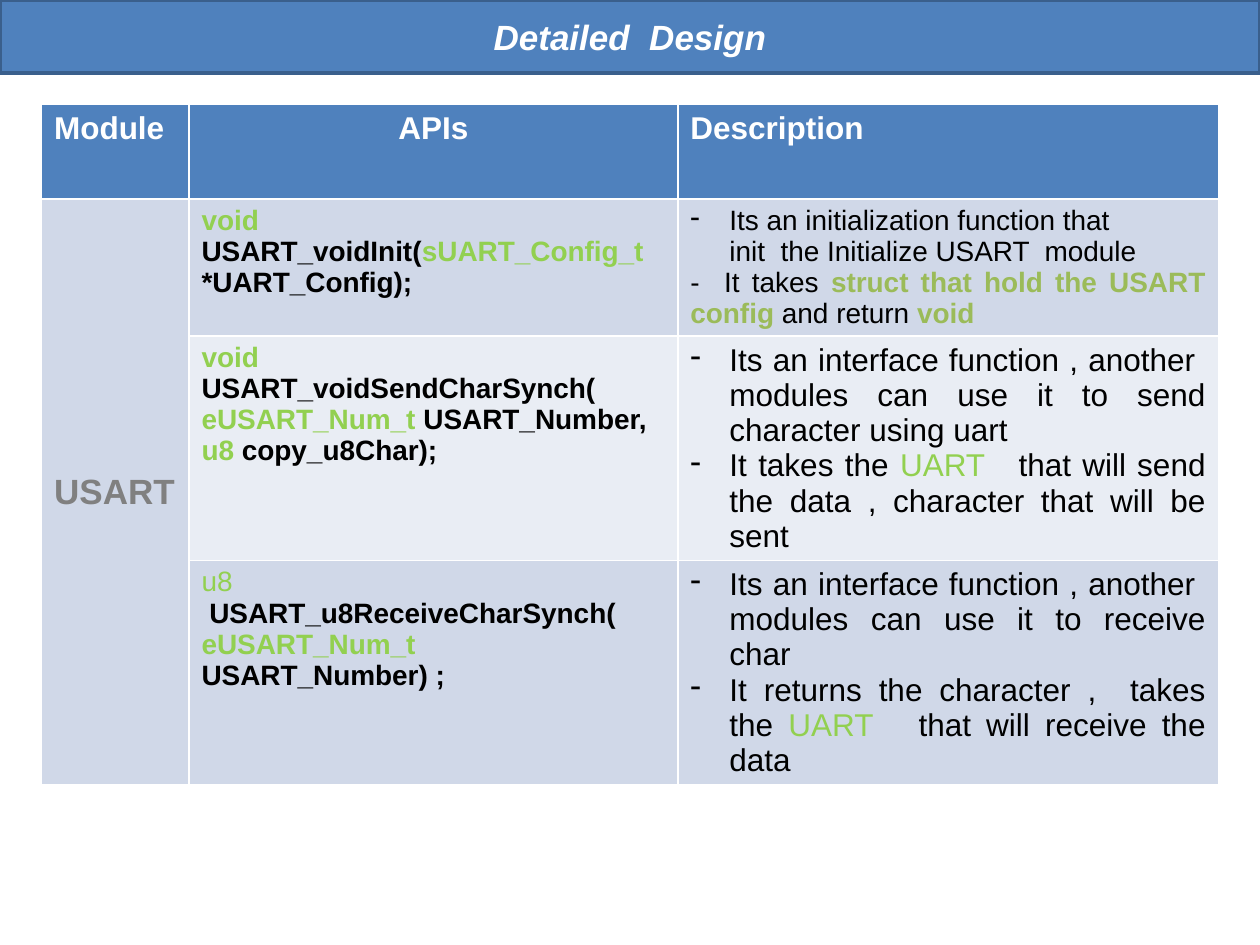
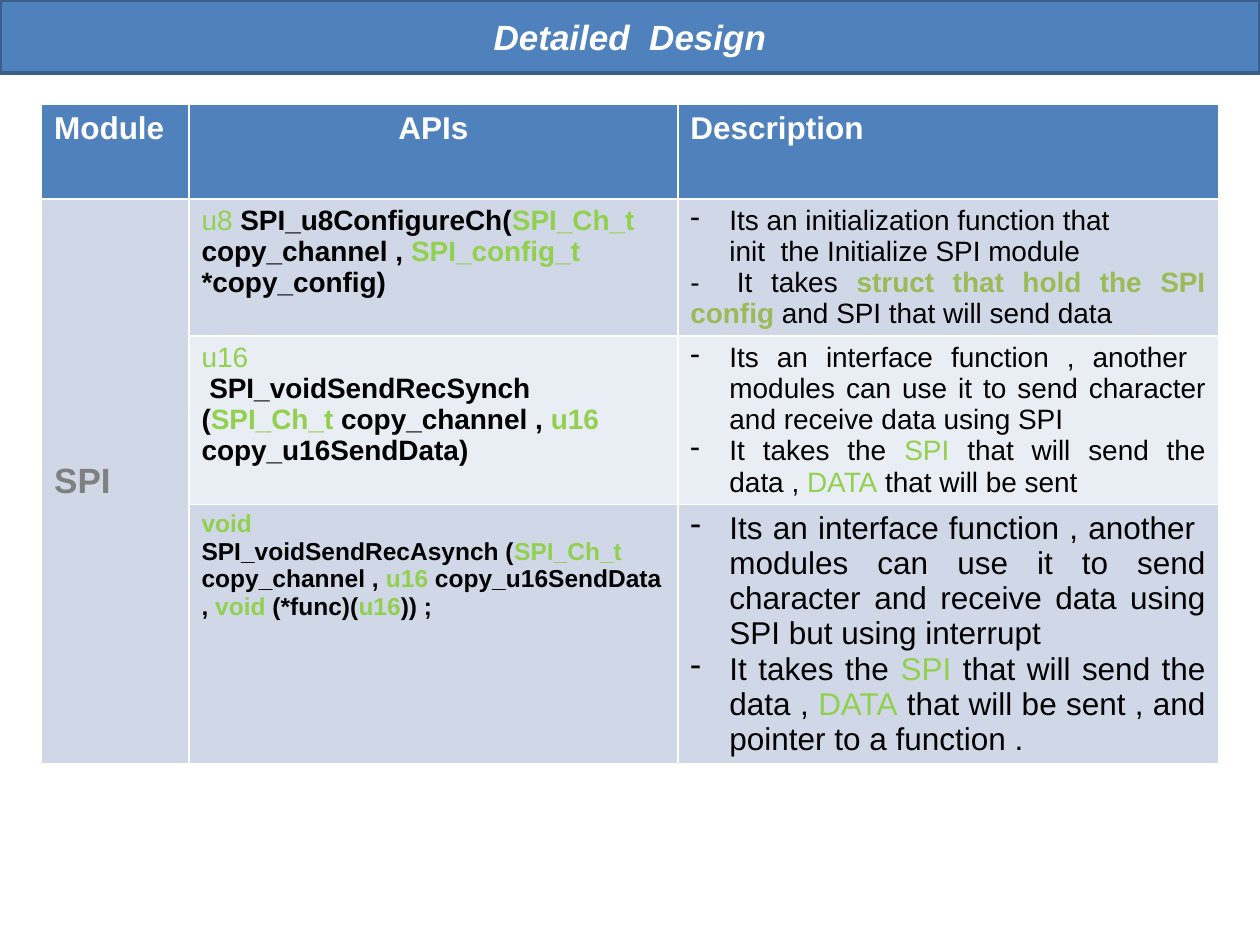
from pptx import Presentation
from pptx.dml.color import RGBColor
from pptx.enum.text import MSO_ANCHOR, PP_ALIGN
from pptx.oxml.ns import qn
from pptx.util import Emu, Inches, Pt
from lxml.etree import SubElement

BLUE = RGBColor(0x4F, 0x81, 0xBD)
EDGE = RGBColor(0x3A, 0x5F, 0x8C)
WHITE = RGBColor(0xFF, 0xFF, 0xFF)
BLACK = RGBColor(0, 0, 0)
GRAY = RGBColor(0x80, 0x80, 0x80)
GREEN = RGBColor(0x92, 0xD0, 0x50)
OLIVE = RGBColor(0x9B, 0xBB, 0x59)
BANDS = (RGBColor(0xD0, 0xD8, 0xE8), RGBColor(0xE9, 0xED, 0xF4))

FONT = "Arial"
TITLE_HEIGHT = 0.58
TABLE_LEFT, TABLE_TOP = 0.33, 0.83
COLUMN_WIDTHS = (1.17, 3.88, 4.29)
HEADER_HEIGHT = 0.75
HANG = Inches(0.31)

# Text between bars is highlighted; a highlight that starts with ~ is not bold.
# Each API: row height, signature size, signature, description size, description.
# Description lines start with "* " for a bullet and "> " for an indented line.
USART_APIS = (
    (1.08, 16, ["|void| USART_voidInit(|sUART_Config_t| *UART_Config);"],
     16, ["* Its an initialization function that",
          "> init  the Initialize USART  module",
          "-  It takes |struct that hold the USART config| and return |void|"]),
    (1.78, 16, ["|void|", "USART_voidSendCharSynch(",
                "|eUSART_Num_t| USART_Number, |u8| copy_u8Char);"],
     18, ["* Its an interface function , another  modules can use it to send "
          "character using uart",
          "* It takes the |~UART |  that will send the data , character that "
          "will be sent"]),
    (1.78, 16, ["|~u8|", " USART_u8ReceiveCharSynch(",
                "|eUSART_Num_t| USART_Number) ;"],
     18, ["* Its an interface function , another  modules can use it to "
          "receive char",
          "* It returns the character ,  takes the |~UART |  that will receive "
          "the data"]),
)
SPI_APIS = (
    (1.08, 16, ["|~u8| SPI_u8ConfigureCh(|SPI_Ch_t| copy_channel , "
                "|SPI_config_t| *copy_config)"],
     16, ["* Its an initialization function that",
          "> init  the Initialize SPI module",
          "-  It takes |struct that hold the SPI config| and SPI that will "
          "send data"]),
    (1.33, 16, ["|~u16|", " SPI_voidSendRecSynch (|SPI_Ch_t| copy_channel , "
                "|u16| copy_u16SendData)"],
     16, ["* Its an interface function , another  modules can use it to send "
          "character and receive data using SPI",
          "* It takes the |~SPI| that will send the data , |~DATA| that will "
          "be sent"]),
    (2.06, 14, ["|void|", "SPI_voidSendRecAsynch (|SPI_Ch_t| copy_channel , "
                "|u16| copy_u16SendData , |void| (*func)(|u16|)) ;"],
     18, ["* Its an interface function , another  modules can use it to send "
          "character and receive data using SPI but using interrupt",
          "* It takes the |~SPI| that will send the data , |~DATA| that will "
          "be sent , and pointer to a function ."]),
)


def add_run(p, text, size, color, bold, italic=False):
    r = p.add_run()
    r.text = text
    font = r.font
    font.name, font.size, font.bold, font.italic = FONT, Pt(size), bold, italic
    font.color.rgb = color


def add_marked_runs(p, text, size, bold, bold_highlight):
    for i, part in enumerate(text.split("|")):
        if not part:
            continue
        if i % 2:
            plain = part.startswith("~")
            color = GREEN if plain or bold else bold_highlight
            add_run(p, part.lstrip("~"), size, color, not plain)
        else:
            add_run(p, part, size, BLACK, bold)


def indent(p, bulleted):
    pPr = p._p.get_or_add_pPr()
    pPr.set("marL", str(HANG))
    pPr.set("indent", str(-HANG if bulleted else 0))
    if bulleted:
        SubElement(pPr, qn("a:buChar")).set("char", "-")


def paragraphs(tf, lines):
    """Yield each line with the paragraph that will hold it."""
    for i, line in enumerate(lines):
        yield (tf.add_paragraph() if i else tf.paragraphs[0]), line


def fill_cell(cell, color):
    cell.fill.solid()
    cell.fill.fore_color.rgb = color


def write_signature(cell, lines, size):
    for p, line in paragraphs(cell.text_frame, lines):
        add_marked_runs(p, line, size, True, GREEN)


def write_description(cell, lines, size):
    for p, line in paragraphs(cell.text_frame, lines):
        p.alignment = PP_ALIGN.JUSTIFY
        if line[0] in "*>":
            indent(p, line[0] == "*")
            line = line[2:]
        add_marked_runs(p, line, size, False, OLIVE)


def add_title(prs, s, text):
    title = s.shapes.title
    title.left = title.top = Emu(0)
    title.width, title.height = prs.slide_width, Inches(TITLE_HEIGHT)
    title.fill.solid()
    title.fill.fore_color.rgb = BLUE
    title.line.color.rgb = EDGE
    title.line.width = Pt(2)
    tf = title.text_frame
    tf.vertical_anchor = MSO_ANCHOR.MIDDLE
    tf.paragraphs[0].alignment = PP_ALIGN.CENTER
    add_run(tf.paragraphs[0], text, 20, WHITE, True, True)


def add_api_table(s, module, apis):
    heights = [HEADER_HEIGHT] + [api[0] for api in apis]
    table = s.shapes.add_table(
        len(heights), len(COLUMN_WIDTHS), Inches(TABLE_LEFT), Inches(TABLE_TOP),
        Inches(sum(COLUMN_WIDTHS)), Inches(sum(heights))).table
    for column, width in zip(table.columns, COLUMN_WIDTHS):
        column.width = Inches(width)
    for row, height in zip(table.rows, heights):
        row.height = Inches(height)

    for cell, heading in zip(table.rows[0].cells,
                             ("Module", "APIs", "Description")):
        fill_cell(cell, BLUE)
        add_run(cell.text_frame.paragraphs[0], heading, 18, WHITE, True)
    table.cell(0, 1).text_frame.paragraphs[0].alignment = PP_ALIGN.CENTER

    for i, (_, code_size, code, note_size, notes) in enumerate(apis):
        module_part, signature, description = table.rows[i + 1].cells
        fill_cell(module_part, BANDS[0])
        fill_cell(signature, BANDS[i % 2])
        fill_cell(description, BANDS[i % 2])
        write_signature(signature, code, code_size)
        write_description(description, notes, note_size)

    name = table.cell(1, 0)
    name.merge(table.cell(len(apis), 0))
    name.vertical_anchor = MSO_ANCHOR.MIDDLE
    add_run(name.text_frame.paragraphs[0], module, 20, GRAY, True)


def main():
    prs = Presentation()
    prs.slide_width, prs.slide_height = Inches(10), Inches(7.5)
    for module, apis in (("USART", USART_APIS), ("SPI", SPI_APIS)):
        s = prs.slides.add_slide(prs.slide_layouts[5])
        add_title(prs, s, "Detailed  Design")
        add_api_table(s, module, apis)
    prs.save("out.pptx")


if __name__ == "__main__":
    main()
